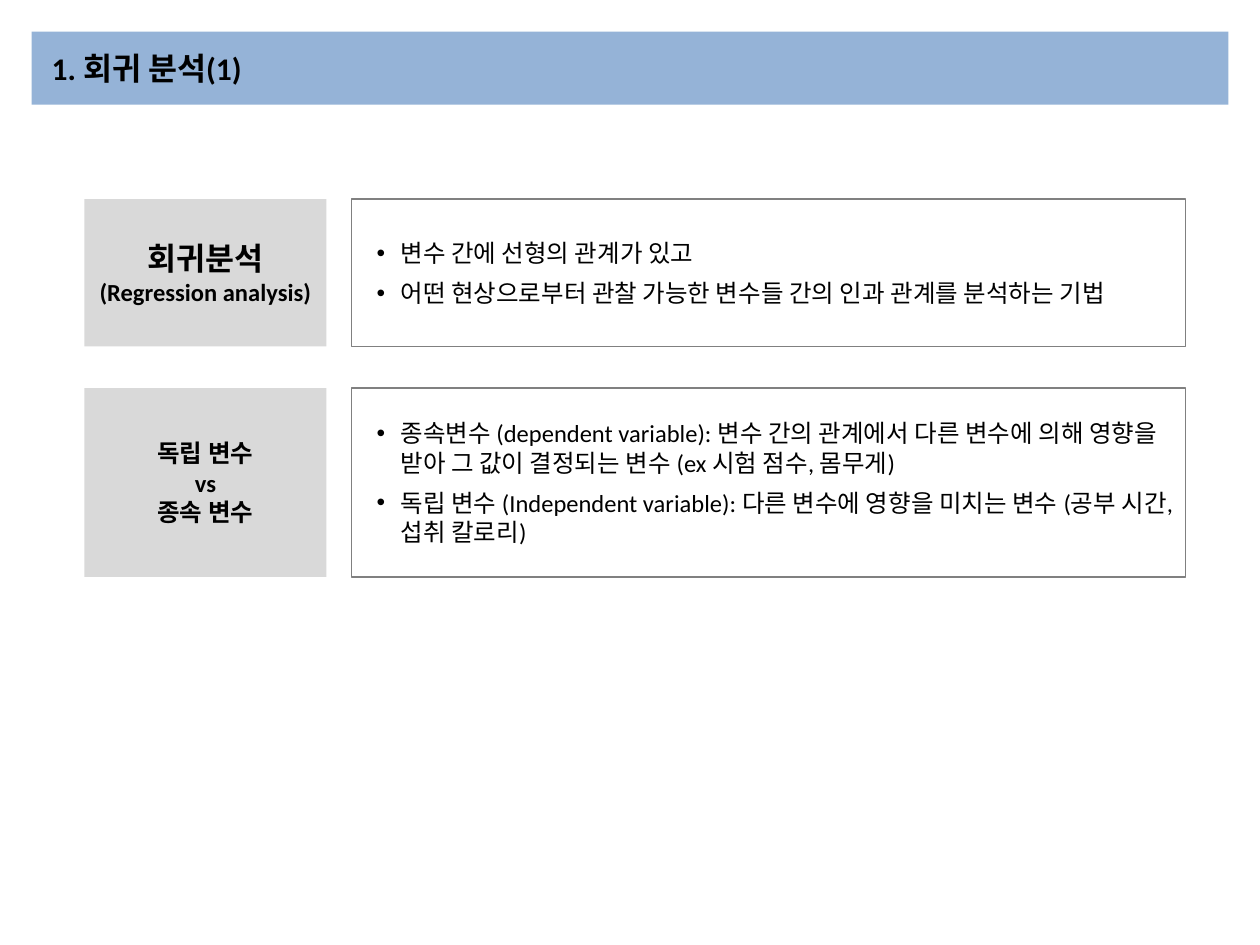
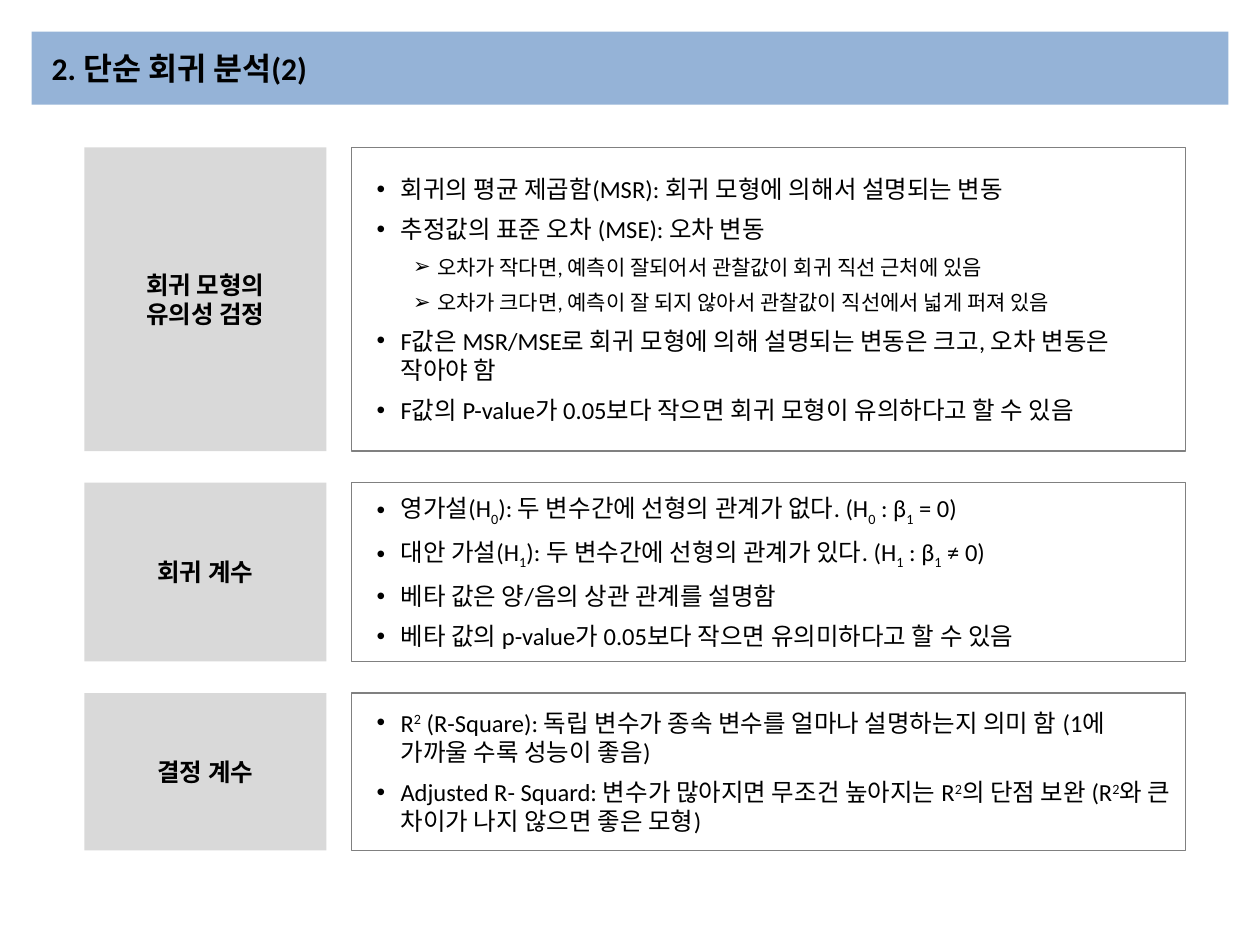
"""Builds two slides on regression analysis."""
from dataclasses import dataclass

from lxml import etree
from pptx import Presentation
from pptx import util as u
from pptx.dml.color import RGBColor
from pptx.enum import shapes, text
from pptx.oxml.ns import qn


@dataclass(frozen=True)
class Theme:
    """Colours and type sizes shared by the slides."""
    band: str = "95B3D7"
    label: str = "D9D9D9"
    line: str = "808080"
    ink: str = "000000"
    font: str = "Calibri"
    large: int = 18
    body: int = 14
    small: int = 12


T = Theme()
BAND = (0.25, 0.25, 9.5, 0.58)
LEFT, LABEL_W, GUTTER, DETAIL_W = 0.67, 1.92, 0.2, 6.62
BULLETS = (("•", 0.29, T.body), ("➢", 0.58, T.small))
HANG = 0.19
SCRIPTS = {"_": "-25000", "^": "30000"}

SLIDES = [
    dict(title="1. 회귀 분석(1)", top=1.58, gap=0.33, rows=[
        (1.17, [("회귀분석", T.large), ("(Regression analysis)", T.body)],
         [(0, "변수 간에 선형의 관계가 있고"),
          (0, "어떤 현상으로부터 관찰 가능한 변수들 간의 인과 관계를 분석하는 기법")]),
        (1.5, [("독립 변수", T.body), ("vs", T.body), ("종속 변수", T.body)],
         [(0, "종속변수 (dependent variable): 변수 간의 관계에서 다른 변수에 의해 "
              "영향을 받아 그 값이 결정되는 변수 (ex 시험 점수, 몸무게)"),
          (0, "독립 변수 (Independent variable): 다른 변수에 영향을 미치는 변수 "
              "(공부 시간, 섭취 칼로리)")]),
    ]),
    dict(title="2. 단순 회귀 분석(2)", top=1.17, gap=0.25, rows=[
        (2.41, [("회귀 모형의", T.body), ("유의성 검정", T.body)],
         [(0, "회귀의 평균 제곱함(MSR): 회귀 모형에 의해서 설명되는 변동"),
          (0, "추정값의 표준 오차 (MSE): 오차 변동"),
          (1, "오차가 작다면, 예측이 잘되어서 관찰값이 회귀 직선 근처에 있음"),
          (1, "오차가 크다면, 예측이 잘 되지 않아서 관찰값이 직선에서 넓게 퍼져 있음"),
          (0, "F값은 MSR/MSE로 회귀 모형에 의해 설명되는 변동은 크고, "
              "오차 변동은 작아야 함"),
          (0, "F값의 P-value가 0.05보다 작으면 회귀 모형이 유의하다고 할 수 있음")]),
        (1.42, [("회귀 계수", T.body)],
         [(0, "영가설(H|_0|): 두 변수간에 선형의 관계가 없다. (H|_0| : β|_1| = 0)"),
          (0, "대안 가설(H|_1|): 두 변수간에 선형의 관계가 있다. (H|_1| : β|_1| ≠ 0)"),
          (0, "베타 값은 양/음의 상관 관계를 설명함"),
          (0, "베타 값의 p-value가 0.05보다 작으면 유의미하다고 할 수 있음")]),
        (1.25, [("결정 계수", T.body)],
         [(0, "R|^2| (R-Square): 독립 변수가 종속 변수를 얼마나 설명하는지 의미 함 "
              "(1에 가까울 수록 성능이 좋음)"),
          (0, "Adjusted R- Squard: 변수가 많아지면 무조건 높아지는 R|^2|의 단점 보완 "
              "(R|^2|와 큰 차이가 나지 않으면 좋은 모형)")]),
    ]),
]


def rgb(value):
    """Turn a hex string into a colour."""
    return RGBColor.from_string(value)


def apply(obj, **values):
    """Set each given attribute on the object."""
    for name, value in values.items():
        setattr(obj, name, value)


def add_run(p, words, size, bold=False):
    """Add one run in the shared font; a leading _ or ^ sets sub- or superscript."""
    shift = SCRIPTS.get(words[0])
    r = p.add_run()
    r.text = words[1:] if shift else words
    apply(r.font, name=T.font, size=u.Pt(size), bold=bold)
    r.font.color.rgb = rgb(T.ink)
    if shift:
        r._r.get_or_add_rPr().set("baseline", shift)


def paragraphs(tf, items):
    """Pair each item with its paragraph in the frame."""
    for i, item in enumerate(items):
        yield (tf.add_paragraph() if i else tf.paragraphs[0]), item


def add_bullet(p, level):
    """Give the paragraph the bullet and hanging indent of its level."""
    char, indent, _ = BULLETS[level]
    apply(p, level=level, alignment=text.PP_ALIGN.LEFT, space_before=u.Pt(6))
    pPr = p._p.get_or_add_pPr()
    pPr.set("marL", str(u.Inches(indent)))
    pPr.set("indent", str(-u.Inches(HANG)))
    etree.SubElement(pPr, qn("a:buFont")).set("typeface", "Arial")
    etree.SubElement(pPr, qn("a:buChar")).set("char", char)


def add_box(s, box, fill=None, line=None):
    """Add a flat rectangle and return its text frame."""
    sp = s.shapes.add_shape(shapes.MSO_SHAPE.RECTANGLE, *map(u.Inches, box))
    sp.shadow.inherit = False
    if fill:
        sp.fill.solid()
        sp.fill.fore_color.rgb = rgb(fill)
    else:
        sp.fill.background()
    if line:
        sp.line.color.rgb = rgb(line)
        sp.line.width = u.Pt(0.75)
    else:
        sp.line.fill.background()
    apply(sp.text_frame, word_wrap=True, vertical_anchor=text.MSO_ANCHOR.MIDDLE)
    return sp.text_frame


def add_title(s, box, words):
    """Turn the title placeholder into the coloured band."""
    sp = s.shapes.title
    apply(sp, **dict(zip(("left", "top", "width", "height"), map(u.Inches, box))))
    sp.fill.solid()
    sp.fill.fore_color.rgb = rgb(T.band)
    tf = sp.text_frame
    apply(tf, word_wrap=True, auto_size=text.MSO_AUTO_SIZE.NONE,
          vertical_anchor=text.MSO_ANCHOR.MIDDLE, margin_left=u.Inches(0.16))
    p = tf.paragraphs[0]
    p.alignment = text.PP_ALIGN.LEFT
    add_run(p, words, T.large, bold=True)


def add_label(s, box, lines):
    """Add the grey box naming a topic."""
    tf = add_box(s, box, fill=T.label)
    for p, (words, size) in paragraphs(tf, lines):
        p.alignment = text.PP_ALIGN.CENTER
        add_run(p, words, size, bold=True)


def add_details(s, box, items):
    """Add the outlined box of bullets explaining a topic."""
    tf = add_box(s, box, line=T.line)
    for p, (level, words) in paragraphs(tf, items):
        add_bullet(p, level)
        for part in words.split("|"):
            add_run(p, part, BULLETS[level][2])


def add_topic_slide(prs, title, top, gap, rows):
    """Add a slide of topic rows stacked below the title band."""
    s = prs.slides.add_slide(prs.slide_layouts[5])
    add_title(s, BAND, title)
    for height, label, details in rows:
        add_label(s, (LEFT, top, LABEL_W, height), label)
        add_details(s, (LEFT + LABEL_W + GUTTER, top, DETAIL_W, height), details)
        top += height + gap


def main():
    """Build and save the presentation."""
    prs = Presentation()
    apply(prs, slide_width=u.Inches(10), slide_height=u.Inches(7.5))
    for content in SLIDES:
        add_topic_slide(prs, **content)
    prs.save("out.pptx")


if __name__ == "__main__":
    main()
